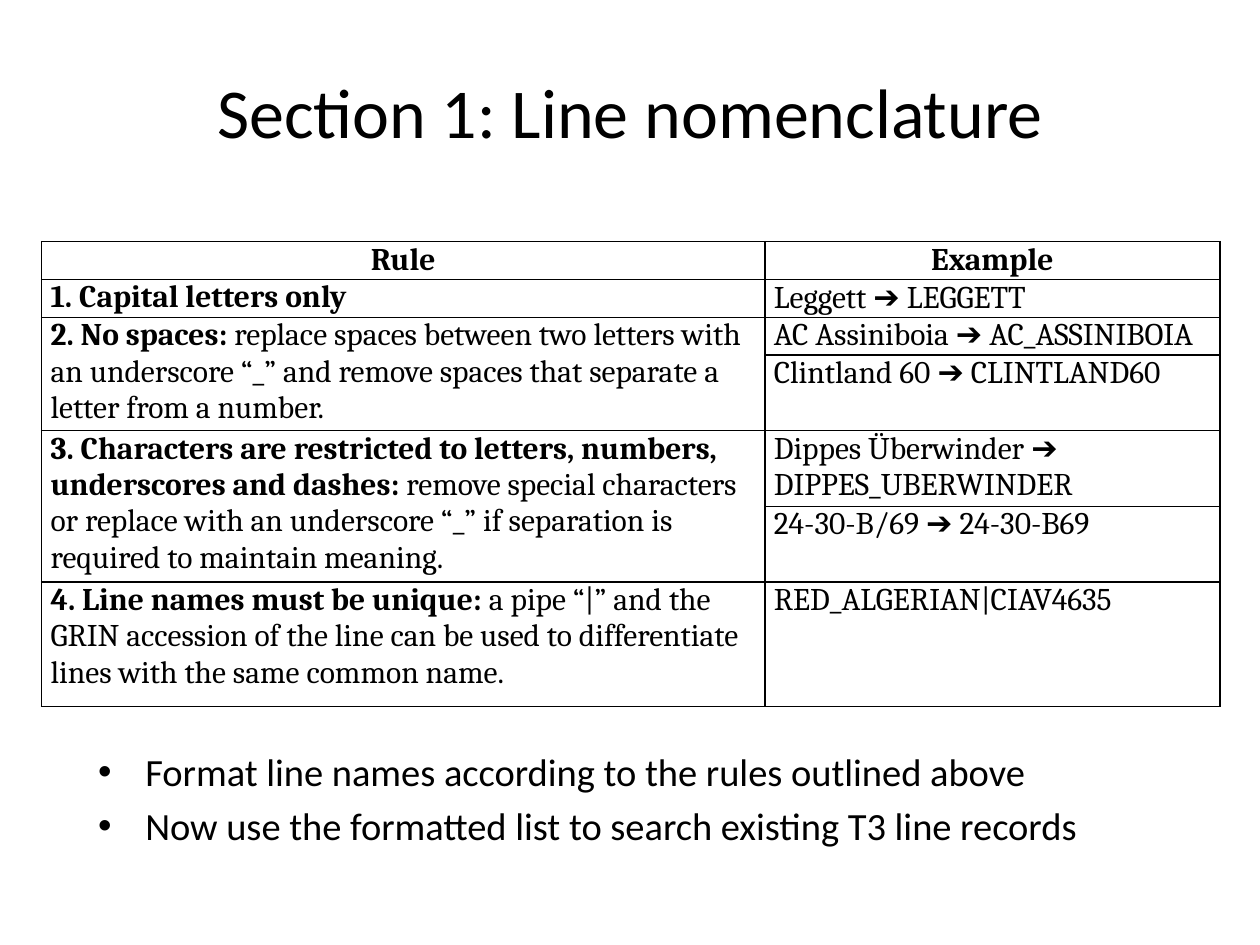
from lxml.etree import SubElement
from pptx import Presentation
from pptx.dml.color import RGBColor
from pptx.enum.text import MSO_ANCHOR as Anchor, PP_ALIGN as Align
from pptx.oxml.ns import qn
from pptx.util import Cm, Pt

TITLE = "Section 1: Line nomenclature"
HEADINGS = ("Rule", "Example")
RULES = [
    ("1. Capital letters only", "", ["Leggett ➔ LEGGETT"]),
    ("2. No spaces: ",
     "replace spaces between two letters with an underscore “_” and remove "
     "spaces that separate a letter from a number.",
     ["AC Assiniboia ➔ AC_ASSINIBOIA", "Clintland 60 ➔ CLINTLAND60"]),
    ("3. Characters are restricted to letters, numbers, underscores and dashes:",
     " remove special characters or replace with an underscore “_” if "
     "separation is required to maintain meaning.",
     ["Dippes Überwinder ➔ DIPPES_UBERWINDER", "24-30-B/69 ➔ 24-30-B69"]),
    ("4. Line names must be unique:",
     " a pipe “|” and the GRIN accession of the line can be used to "
     "differentiate lines with the same common name.",
     ["RED_ALGERIAN|CIAV4635"]),
]
STEPS = [
    "Format line names according to the rules outlined above",
    "Now use the formatted list to search existing T3 line records",
]

THEME = {
    "ink": RGBColor(0, 0, 0),
    "paper": RGBColor(255, 255, 255),
    "title": {"name": "Calibri", "size": Pt(40)},
    "table": {"name": "Cambria", "size": Pt(18), "bold": False},
    "steps": {"name": "Calibri", "size": Pt(22)},
}
STRONG = {**THEME["table"], "bold": True}
ARROW = {**THEME["table"], "name": "Arial"}
COLUMN_WIDTHS = (14.58, 9.17)
ROW_HEIGHTS = (0.74, 0.74, 0.74, 1.46, 1.52, 1.52, 2.51)
CELL_FORMAT = {"margin_left": Cm(0.18), "margin_right": Cm(0.18),
               "margin_top": 0, "margin_bottom": 0}
BORDER = Pt(1)
INDENT = Cm(0.95)


def apply(target, values):
    for key, value in values.items():
        setattr(target, key, value)


def add_run(paragraph, text, style):
    run = paragraph.add_run()
    run.text = text
    apply(run.font, style)
    run.font.color.rgb = THEME["ink"]


def add_frame(slide, left, top, width, height, anchor):
    frame = slide.shapes.add_textbox(Cm(left), Cm(top), Cm(width), Cm(height)).text_frame
    apply(frame, {"word_wrap": True, "vertical_anchor": anchor})
    return frame


def format_cell(cell):
    apply(cell, CELL_FORMAT)
    properties = cell._tc.get_or_add_tcPr()
    for side in ("lnL", "lnR", "lnT", "lnB"):
        border = SubElement(properties, qn(f"a:{side}"), w=str(BORDER))
        fill = SubElement(border, qn("a:solidFill"))
        SubElement(fill, qn("a:srgbClr"), val=str(THEME["ink"]))
    cell.fill.solid()
    cell.fill.fore_color.rgb = THEME["paper"]


def write_cell(cell, runs):
    paragraph = cell.text_frame.paragraphs[0]
    for text, style in runs:
        if text:
            add_run(paragraph, text, style)
    return paragraph


def add_rules(slide):
    table = slide.shapes.add_table(
        len(ROW_HEIGHTS), len(COLUMN_WIDTHS), Cm(0.84), Cm(4.87),
        Cm(sum(COLUMN_WIDTHS)), Cm(sum(ROW_HEIGHTS))).table
    apply(table, {"first_row": False, "horz_banding": False})
    for column, width in zip(table.columns, COLUMN_WIDTHS):
        column.width = Cm(width)
    for row, height in zip(table.rows, ROW_HEIGHTS):
        row.height = Cm(height)
    for cell in table.iter_cells():
        format_cell(cell)

    for column, heading in enumerate(HEADINGS):
        cell = table.cell(0, column)
        cell.vertical_anchor = Anchor.MIDDLE
        write_cell(cell, [(heading, STRONG)]).alignment = Align.CENTER

    top = 1
    for rule, detail, examples in RULES:
        rule_cell = table.cell(top, 0)
        if len(examples) > 1:
            rule_cell.merge(table.cell(top + len(examples) - 1, 0))
        write_cell(rule_cell, [(rule, STRONG), (detail, THEME["table"])])
        for row, example in enumerate(examples, top):
            parts = example.partition("➔")
            styles = (THEME["table"], ARROW, THEME["table"])
            write_cell(table.cell(row, 1), zip(parts, styles))
        top += len(examples)


def add_steps(slide):
    frame = add_frame(slide, 1.73, 14.96, 21.95, 3.18, Anchor.TOP)
    for number, step in enumerate(STEPS):
        paragraph = frame.add_paragraph() if number else frame.paragraphs[0]
        properties = paragraph._p.get_or_add_pPr()
        apply_indent = {"marL": INDENT, "indent": -INDENT}
        for key, value in apply_indent.items():
            properties.set(key, str(value))
        if number:
            paragraph.space_before = Pt(4.4)
        SubElement(properties, qn("a:buFont"), typeface="Arial")
        SubElement(properties, qn("a:buChar"), char="•")
        add_run(paragraph, step, THEME["steps"])


def main():
    deck = Presentation()
    apply(deck, {"slide_width": Cm(25.4), "slide_height": Cm(19.05)})
    slide = deck.slides.add_slide(deck.slide_layouts[6])
    title = add_frame(slide, 1.27, 0.64, 22.86, 3.18, Anchor.MIDDLE).paragraphs[0]
    title.alignment = Align.CENTER
    add_run(title, TITLE, THEME["title"])
    add_rules(slide)
    add_steps(slide)
    deck.save("out.pptx")


if __name__ == "__main__":
    main()
